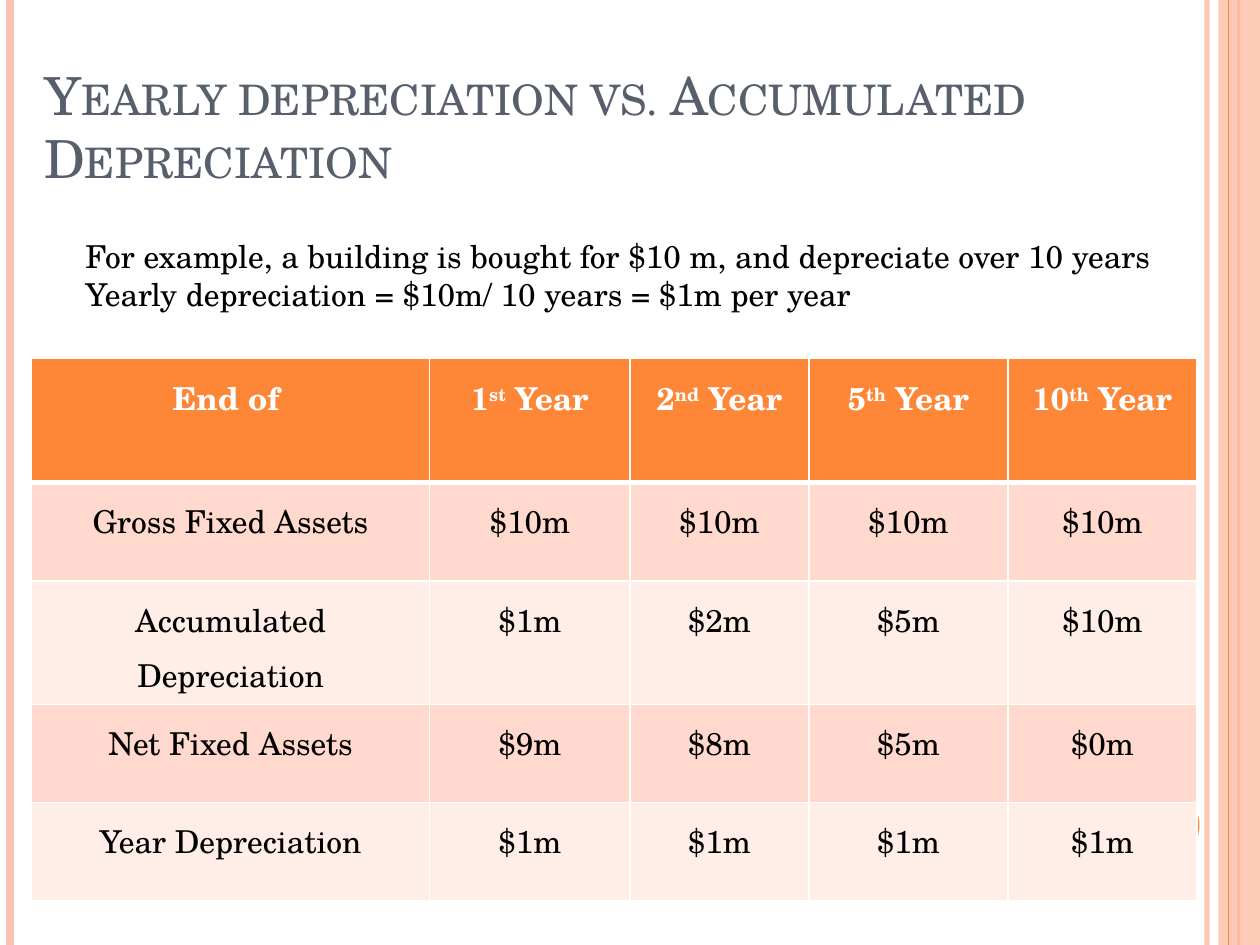
"""Build a slide that compares yearly and accumulated depreciation."""
import pptx
import pptx.dml.color
import pptx.enum.shapes
import pptx.enum.text
import pptx.oxml.ns
import pptx.util
from lxml import etree

Inches, Pt = pptx.util.Inches, pptx.util.Pt
KIND = pptx.enum.shapes.MSO_SHAPE
TEXT = pptx.enum.text

FACE = "TeX Gyre Schola"
ORANGE, PEACH, WHITE, BLACK = "FE8637", "FEC3AE", "FFFFFF", "000000"
BANDS = ["FFD9CE", "FFEDE8"]
TITLE = "Yearly depreciation vs. Accumulated Depreciation"
NOTES = [
    "For example, a building is bought for $10 m, and depreciate over 10 years",
    "Yearly depreciation = $10m/ 10 years = $1m per year",
]
HEADS = [("End of ",), ("1", "st", " Year"), ("2", "nd", " Year"),
         ("5", "th", " Year"), ("10", "th", " Year")]
ROWS = [
    ("Gross Fixed Assets", "$10m", "$10m", "$10m", "$10m"),
    ("Accumulated Depreciation", "$1m", "$2m", "$5m", "$10m"),
    ("Net Fixed Assets", "$9m", "$8m", "$5m", "$0m"),
    ("Year Depreciation", "$1m", "$1m", "$1m", "$1m"),
]
WIDTHS = [3.16, 1.59, 1.42, 1.58, 1.5]
HEIGHTS = [0.99] + [0.78] * len(ROWS)
BACK_RULES = [(9.58, PEACH, 3, 93), (0.08, PEACH, 4.5, 100), (9.83, ORANGE, 1.5, 100)]
FRONT_RULES = [(9.75, ORANGE, 0.75, 100)]
HEAD = {"size": Pt(18), "name": FACE, "bold": True}
BODY = {"size": Pt(18), "name": FACE, "bold": False}
LARGE = {"size": Pt(30), "name": FACE, "bold": False}


def paint(fmt, color, alpha=100):
    """Give a fill a solid colour and an opacity in percent."""
    fmt.solid()
    fmt.fore_color.rgb = pptx.dml.color.RGBColor.from_string(color)
    if alpha < 100:
        node = fmt._xPr.find(".//" + pptx.oxml.ns.qn("a:srgbClr"))
        etree.SubElement(node, pptx.oxml.ns.qn("a:alpha")).set("val", str(alpha * 1000))


def write(para, text, style, color):
    """Add a formatted run to a paragraph."""
    run = para.add_run()
    run.text = text
    for key, value in style.items():
        setattr(run.font, key, value)
    paint(run.font.fill, color)
    return run


def rule(slide, x, color, width, alpha):
    """Draw a full-height vertical line."""
    line = slide.shapes.add_connector(
        pptx.enum.shapes.MSO_CONNECTOR.STRAIGHT, Inches(x), 0, Inches(x), Inches(7.5))
    line.line.width = Pt(width)
    paint(line.line.fill, color, alpha)
    etree.SubElement(line._element.spPr, pptx.oxml.ns.qn("a:effectLst"))


def block(slide, kind, box, color, alpha=100):
    """Draw a plain filled shape."""
    shape = slide.shapes.add_shape(kind, *map(Inches, box))
    shape.shadow.inherit = False
    shape.line.fill.background()
    paint(shape.fill, color, alpha)


def edge(cell, base):
    """Give a cell white borders with the stated bottom width."""
    props = cell._tc.get_or_add_tcPr()
    for side, width in (("L", 1), ("R", 1), ("T", 1), ("B", base)):
        line = etree.SubElement(props, pptx.oxml.ns.qn("a:ln" + side), w=str(Pt(width)))
        fill = etree.SubElement(line, pptx.oxml.ns.qn("a:solidFill"))
        etree.SubElement(fill, pptx.oxml.ns.qn("a:srgbClr"), val=WHITE)


def fill_cell(cell, parts, style, color, back, base):
    """Write a cell, raising its second part as a superscript."""
    edge(cell, base)
    paint(cell.fill, back)
    para = cell.text_frame.paragraphs[0]
    para.alignment = TEXT.PP_ALIGN.CENTER
    para.line_spacing = 1.2
    for index, part in enumerate(parts):
        run = write(para, part, style, color)
        if index == 1:
            run._r.get_or_add_rPr().set("baseline", "30000")


def add_grid(slide):
    """Add the depreciation table."""
    grid = slide.shapes.add_table(
        len(HEIGHTS), len(WIDTHS), Inches(0.25), Inches(2.84),
        Inches(sum(WIDTHS)), Inches(sum(HEIGHTS))).table
    for col, width in zip(grid.columns, WIDTHS):
        col.width = Inches(width)
    for row, height in zip(grid.rows, HEIGHTS):
        row.height = Inches(height)
    for col, parts in enumerate(HEADS):
        fill_cell(grid.cell(0, col), parts, HEAD, WHITE, ORANGE, 3)
    for row, texts in enumerate(ROWS):
        for col, text in enumerate(texts):
            fill_cell(grid.cell(row + 1, col), [text], BODY, BLACK, BANDS[row % 2], 1)


def add_title(slide):
    """Place the title in small capitals."""
    title = slide.shapes.title
    title.left, title.top, title.width, title.height = map(Inches, (0.25, 0.3, 9.25, 1.25))
    frame = title.text_frame
    frame.word_wrap = True
    frame.auto_size = TEXT.MSO_AUTO_SIZE.NONE
    frame.vertical_anchor = TEXT.MSO_ANCHOR.BOTTOM
    para = frame.paragraphs[0]
    para.alignment = TEXT.PP_ALIGN.LEFT
    run = write(para, TITLE, LARGE, "575F6D")
    run._r.get_or_add_rPr().set("cap", "small")


def add_notes(slide):
    """Add the worked example above the table."""
    frame = slide.shapes.add_textbox(*map(Inches, (0.58, 1.83, 8.92, 0.71))).text_frame
    frame.word_wrap = True
    frame.auto_size = TEXT.MSO_AUTO_SIZE.SHAPE_TO_FIT_TEXT
    for index, text in enumerate(NOTES):
        para = frame.add_paragraph() if index else frame.paragraphs[0]
        write(para, text, BODY, BLACK)


def main():
    """Build and save the slide."""
    deck = pptx.Presentation()
    deck.slide_width, deck.slide_height = Inches(10), Inches(7.5)
    slide = deck.slides.add_slide(deck.slide_layouts[5])
    for args in BACK_RULES:
        rule(slide, *args)
    block(slide, KIND.RECTANGLE, (9.67, 0, 0.33, 7.5), PEACH, 87)
    for args in FRONT_RULES:
        rule(slide, *args)
    block(slide, KIND.OVAL, (8.92, 6.25, 0.6, 0.6), ORANGE)
    add_title(slide)
    add_grid(slide)
    add_notes(slide)
    deck.save("out.pptx")


if __name__ == "__main__":
    main()
